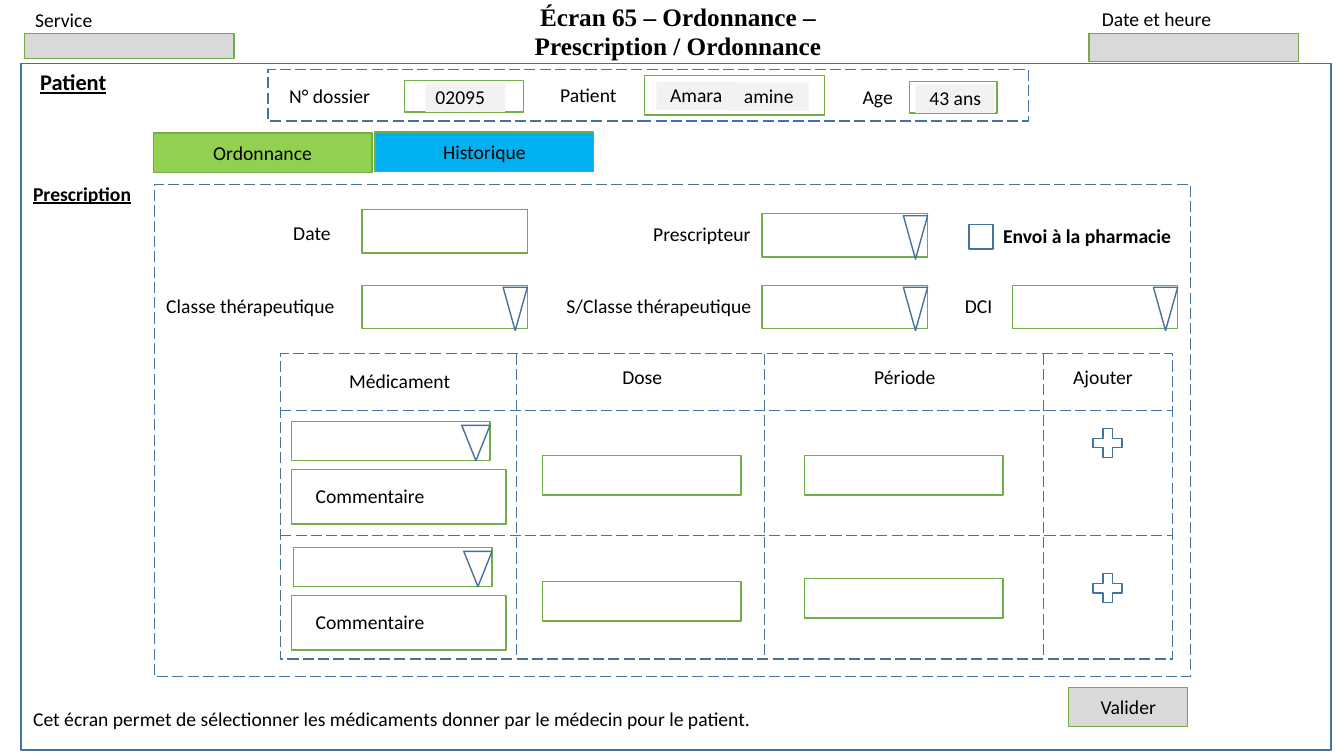
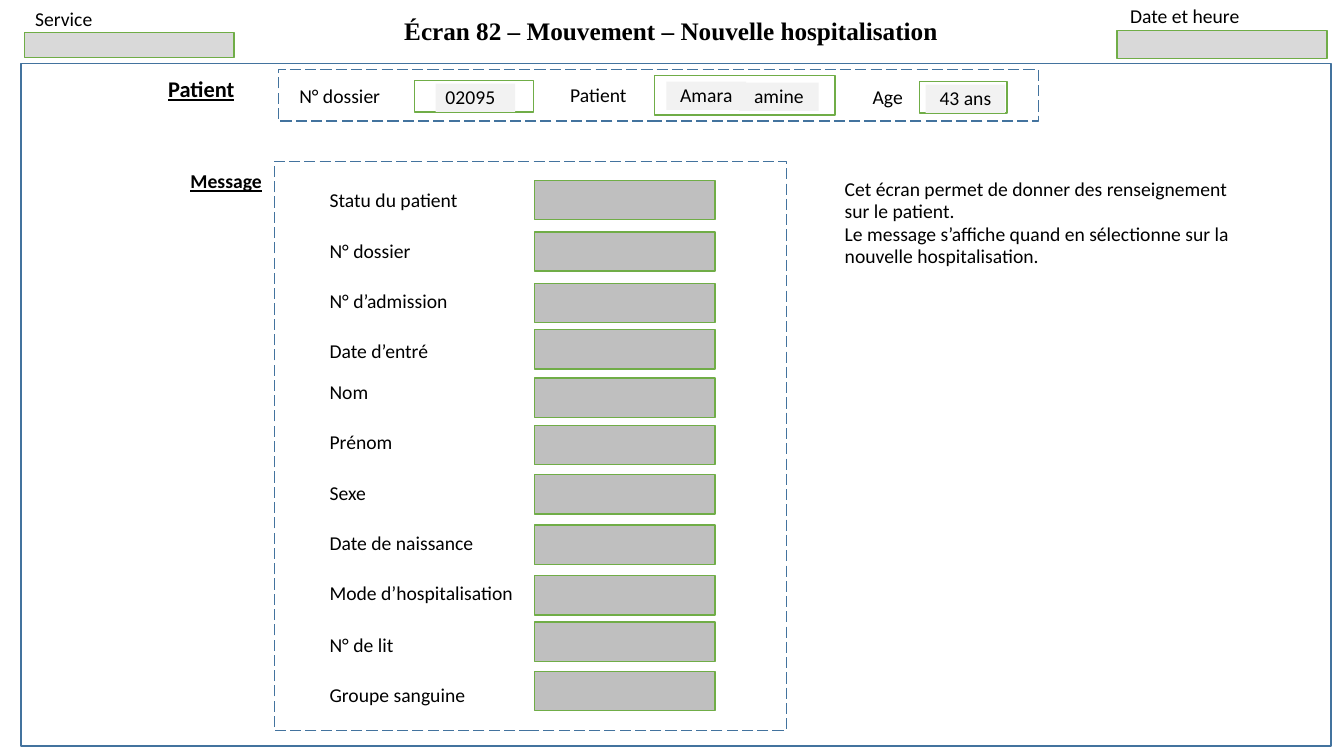
from dataclasses import dataclass

from lxml.etree import SubElement
from pptx import Presentation
from pptx.dml.color import RGBColor
from pptx.enum.dml import MSO_LINE
from pptx.enum.shapes import MSO_CONNECTOR, MSO_SHAPE as Preset
from pptx.enum.text import MSO_ANCHOR as Anchor, MSO_AUTO_SIZE, PP_ALIGN as Align
from pptx.oxml.ns import qn
from pptx.util import Inches, Pt


@dataclass(frozen=True)
class Theme:
    ink: str = "000000"
    frame: str = "43739E"
    field: str = "70AD47"
    header: str = "D9D9D9"
    value: str = "F2F2F2"
    result: str = "BFBFBF"
    active_tab: str = "92D050"
    other_tab: str = "00B0F0"
    font: str = "Calibri"
    title_font: str = "Times New Roman"
    body_size: int = 14
    heading_size: int = 16
    title_size: int = 18
    line_width: int = 1
    spacing: float = 0.95


THEME = Theme()
BOLD = {"bold": True}
HEADING = {"bold": True, "underline": True}

# All boxes are left, top, width, height in inches.
ORDER_SCREEN = {
    "title": ["Écran 65 – Ordonnance –", "Prescription / Ordonnance"],
    "title_box": (3.45, 0.07, 6.55, 0.59),
    "frame_height": 6.81,
    "service_top": 0.33,
    "clock": (10.8, 0.33),
    "patient_heading": (0.3, 0.58),
    "banner_left": 2.66,
}
STAY_SCREEN = {
    "title": ["Écran 82 – Mouvement – Nouvelle hospitalisation"],
    "title_box": (3.02, 0.07, 7.27, 0.44),
    "frame_height": 6.77,
    "service_top": 0.32,
    "clock": (11.08, 0.3),
    "patient_heading": (1.57, 0.65),
    "banner_left": 2.76,
}

# Patient banner: left edges are measured from the banner's own left edge.
BANNER_LABELS = [
    ("N° dossier", (0.05, 0.75, 1.12, 0.43)),
    ("Patient", (2.65, 0.74, 1.05, 0.43)),
    ("Age", (5.74, 0.76, 0.61, 0.42)),
]
BANNER_FIELDS = [(1.35, 0.8, 1.18, 0.31), (3.73, 0.75, 1.79, 0.39), (6.36, 0.81, 0.87, 0.31)]
BANNER_VALUES = [
    ("02095", 1.56, 0.83, Align.LEFT),
    ("Amara", 3.85, 0.81, Align.CENTER),
    ("amine", 4.57, 0.82, Align.CENTER),
    ("43 ans", 6.42, 0.84, Align.CENTER),
]

TABS = [
    ("Ordonnance", (1.52, 1.32, 2.17, 0.39), THEME.active_tab),
    ("Historique", (3.72, 1.31, 2.17, 0.39), THEME.other_tab),
    ("Valider", (10.6, 6.82, 1.18, 0.39), THEME.header),
]
# label, label box, field left, field top, is a drop-down
ORDER_FIELDS = [
    ("Date", (2.81, 2.1, 0.79, 0.43), 3.59, 2.08, False),
    ("Prescripteur", (6.38, 2.11, 1.18, 0.43), 7.56, 2.12, True),
    ("Classe thérapeutique", (1.55, 2.83, 2.05, 0.43), 3.59, 2.83, True),
    ("S/Classe thérapeutique", (5.52, 2.83, 2.05, 0.43), 7.56, 2.83, True),
    ("DCI", (9.47, 2.83, 0.59, 0.43), 10.04, 2.83, True),
]
GRID = (2.78, 3.51, 8.85, 3.03)
GRID_COLUMNS = [5.12, 7.58, 10.35]
GRID_ROWS = [4.07, 5.31]
GRID_HEADERS = [
    ("Médicament", (2.98, 3.59, 1.97, 0.39)),
    ("Dose", (5.78, 3.55, 1.18, 0.39)),
    ("Période", (8.19, 3.55, 1.57, 0.39)),
    ("Ajouter", (10.45, 3.55, 0.98, 0.39)),
]
DRUG_ROWS = [
    {"drug": (2.89, 4.18), "comment": 4.66, "dose": 4.52, "period": 4.52, "add": 4.2},
    {"drug": (2.91, 5.43), "comment": 5.91, "dose": 5.77, "period": 5.74, "add": 5.64},
]
ORDER_NOTE = "Cet écran permet de sélectionner les médicaments donner par le médecin pour le patient."

# label, label top, field top
STAY_FIELDS = [
    ("Statu du patient", 1.78, 1.79),
    ("N° dossier", 2.28, 2.3),
    ("N° d’admission", 2.78, 2.81),
    ("Date d’entré", 3.28, 3.27),
    ("Nom", 3.68, 3.75),
    ("Prénom", 4.18, 4.22),
    ("Sexe", 4.68, 4.71),
    ("Date de naissance", 5.18, 5.21),
    ("Mode d’hospitalisation", 5.68, 5.71),
    ("N° de lit", 6.19, 6.17),
    ("Groupe sanguine", 6.69, 6.66),
]
STAY_NOTE = [
    "Cet écran permet de donner des renseignement sur le patient.",
    "Le message s’affiche quand en sélectionne sur la nouvelle hospitalisation.",
]


def inches(values):
    return [Inches(value) for value in values]


def write(shape, lines, align=Align.LEFT, anchor=Anchor.MIDDLE, wrap=True,
          spacing=THEME.spacing, **font):
    frame = shape.text_frame
    frame_format = {"auto_size": MSO_AUTO_SIZE.NONE, "word_wrap": wrap, "vertical_anchor": anchor}
    for name, value in frame_format.items():
        setattr(frame, name, value)
    font_format = {"name": THEME.font, "size": Pt(THEME.body_size), **font}
    for index, line in enumerate(lines):
        para = frame.add_paragraph() if index else frame.paragraphs[0]
        para.alignment, para.line_spacing = align, spacing
        span = para.add_run()
        span.text = line
        span.font.color.rgb = RGBColor.from_string(THEME.ink)
        for name, value in font_format.items():
            setattr(span.font, name, value)


def label(page, words, box, **style):
    lines = [words] if isinstance(words, str) else words
    write(page.shapes.add_textbox(*inches(box)), lines, **style)


def stroke(line, color, dashed=False):
    line.color.rgb = RGBColor.from_string(color)
    line.width = Pt(THEME.line_width)
    if dashed:
        line.dash_style = MSO_LINE.LONG_DASH


def panel(page, box, line=THEME.field, fill=None, dashed=False, preset=Preset.RECTANGLE):
    shape = page.shapes.add_shape(preset, *inches(box))
    shape.shadow.inherit = False
    if fill:
        shape.fill.solid()
        shape.fill.fore_color.rgb = RGBColor.from_string(fill)
    else:
        shape.fill.background()
    if line:
        stroke(shape.line, line, dashed)
    else:
        shape.line.fill.background()
    return shape


def divider(page, start, end):
    line = page.shapes.add_connector(MSO_CONNECTOR.STRAIGHT, *inches(start + end))
    SubElement(line._element.spPr, qn("a:effectLst"))
    stroke(line.line, THEME.frame, dashed=True)


def dropdown(page, box, arrow_size, drop):
    """Field with a downward arrow at its right end, `drop` inches below its top."""
    left, top, width, _ = box
    panel(page, box)
    arrow_left = left + width - arrow_size[0]
    arrow = panel(page, (arrow_left, top + drop, *arrow_size), THEME.frame,
                  preset=Preset.ISOSCELES_TRIANGLE)
    arrow.rotation = 180


def add_screen(deck, screen):
    """Add a page with the title, header fields, frame and patient banner."""
    page = deck.slides.add_slide(deck.slide_layouts[5])
    title = page.shapes.title
    title.left, title.top, title.width, title.height = inches(screen["title_box"])
    write(title, screen["title"], Align.CENTER, Anchor.BOTTOM, name=THEME.title_font,
          size=Pt(THEME.title_size), bold=True)

    panel(page, (0.21, 0.63, 12.99, screen["frame_height"]), THEME.frame)
    service_top = screen["service_top"]
    clock_left, clock_top = screen["clock"]
    panel(page, (0.24, service_top, 2.08, 0.25), fill=THEME.header)
    panel(page, (clock_left, clock_top, 2.08, 0.28), fill=THEME.header)
    header = {"anchor": Anchor.TOP, "spacing": 1.0}
    label(page, "Service", (0.25, service_top - 0.3, 1.4, 0.34), **header)
    label(page, "Date et heure", (clock_left + 0.03, clock_top - 0.31, 1.3, 0.34),
          wrap=False, **header)

    label(page, "Patient", (*screen["patient_heading"], 1.18, 0.48),
          size=Pt(THEME.heading_size), **HEADING)
    origin = screen["banner_left"]
    panel(page, (origin, 0.69, 7.54, 0.51), THEME.frame, dashed=True)
    for words, (left, *rest) in BANNER_LABELS:
        label(page, words, (origin + left, *rest), align=Align.CENTER)
    for left, *rest in BANNER_FIELDS:
        panel(page, (origin + left, *rest))
    for words, left, top, align in BANNER_VALUES:
        value = panel(page, (origin + left, top, 0.79, 0.28), None, THEME.value)
        write(value, [words], align)
    return page


def add_drug_grid(page):
    left, top, width, height = GRID
    panel(page, GRID, THEME.frame, dashed=True)
    for x in GRID_COLUMNS:
        divider(page, (x, top), (x, top + height))
    for y in GRID_ROWS:
        divider(page, (left, y), (left + width, y))
    for words, box in GRID_HEADERS:
        label(page, words, box, align=Align.CENTER)
    for row in DRUG_ROWS:
        dropdown(page, (*row["drug"], 1.97, 0.39), (0.28, 0.35), 0.04)
        comment = panel(page, (2.89, row["comment"], 2.13, 0.54))
        write(comment, ["Commentaire"])
        comment.text_frame.margin_left = Inches(0.24)
        panel(page, (5.38, row["dose"], 1.97, 0.39))
        panel(page, (7.98, row["period"], 1.97, 0.39))
        panel(page, (10.79, row["add"], 0.39, 0.39), THEME.frame, preset=Preset.MATH_PLUS)


def build_order(deck):
    page = add_screen(deck, ORDER_SCREEN)
    for words, box, color in TABS:
        write(panel(page, box, fill=color), [words], Align.CENTER, spacing=1.0)
    label(page, "Prescription", (0.23, 1.77, 2.1, 0.32), **HEADING)
    panel(page, (1.53, 1.83, 10.28, 4.88), THEME.frame, dashed=True)
    for words, box, left, top, has_arrow in ORDER_FIELDS:
        label(page, words, box)
        field = (left, top, 1.64, 0.43)
        if has_arrow:
            dropdown(page, field, (0.24, 0.43), 0.02)
        else:
            panel(page, field)
    panel(page, (9.61, 2.23, 0.24, 0.24), THEME.frame)
    label(page, "Envoi à la pharmacie", (9.85, 2.15, 1.9, 0.39), **BOLD)
    add_drug_grid(page)
    label(page, ORDER_NOTE, (0.23, 6.92, 7.52, 0.44))


def build_stay(deck):
    page = add_screen(deck, STAY_SCREEN)
    label(page, "Message", (1.79, 1.61, 0.92, 0.39), **HEADING)
    panel(page, (2.72, 1.6, 5.08, 5.65), THEME.frame, dashed=True)
    for words, label_top, field_top in STAY_FIELDS:
        label(page, words, (3.17, label_top, 2.05, 0.43))
        panel(page, (5.3, field_top, 1.79, 0.39), fill=THEME.result)
    label(page, STAY_NOTE, (8.28, 1.62, 4.27, 1.19))


def main():
    deck = Presentation()
    deck.slide_width, deck.slide_height = inches((13.33, 7.5))
    build_order(deck)
    build_stay(deck)
    deck.save("out.pptx")


if __name__ == "__main__":
    main()
